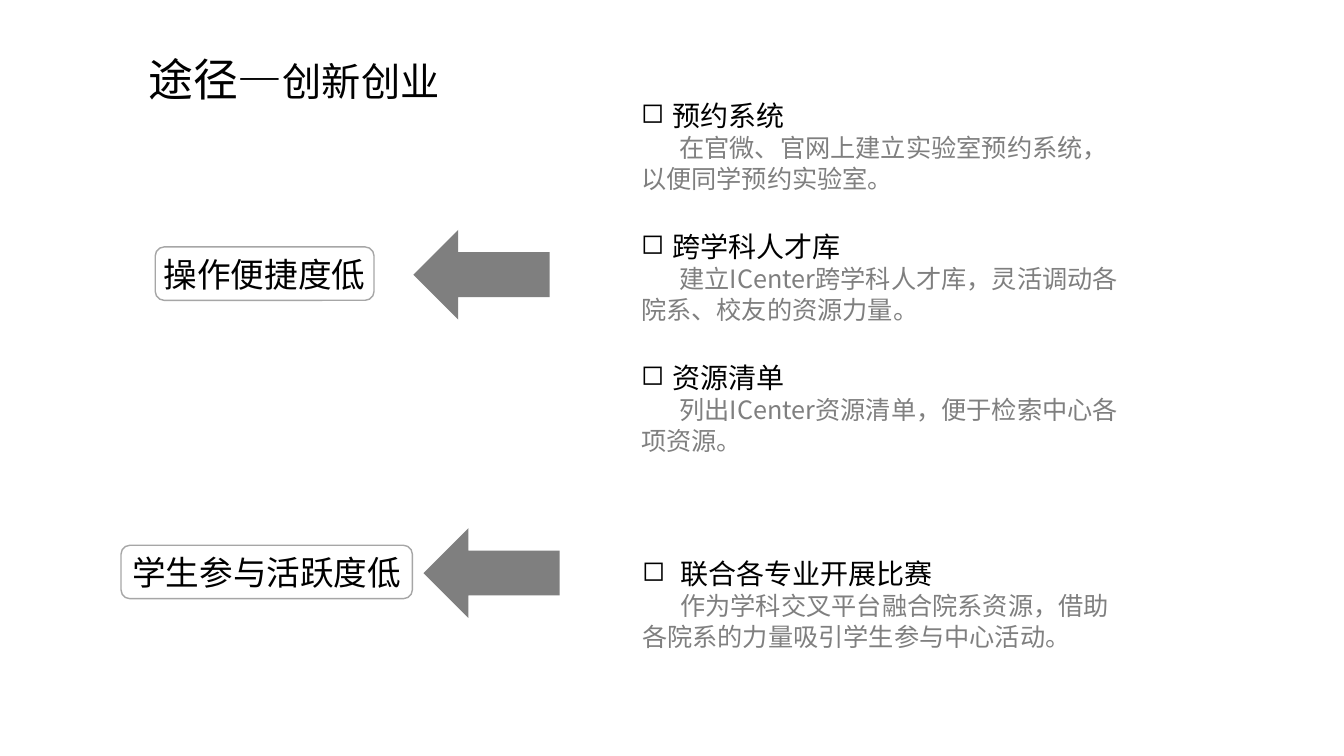
import pptx
import pptx.util
import pptx.dml.color
import pptx.enum.shapes
import pptx.enum.text
import pptx.oxml.ns
from lxml import etree

FONT = "Noto Sans CJK SC"
BLACK, GREY, EDGE = "000000", "7F7F7F", "A6A6A6"
SHAPE = pptx.enum.shapes.MSO_SHAPE
ALIGN = pptx.enum.text.PP_ALIGN
MIDDLE = pptx.enum.text.MSO_ANCHOR.MIDDLE
FIXED = pptx.enum.text.MSO_AUTO_SIZE.NONE

TOOLS = [
    ("预约系统", "在官微、官网上建立实验室预约系统，以便同学预约实验室。"),
    ("跨学科人才库", "建立ICenter跨学科人才库，灵活调动各院系、校友的资源力量。"),
    ("资源清单", "列出ICenter资源清单，便于检索中心各项资源。"),
]
EVENTS = [
    ("联合各专业开展比赛", "作为学科交叉平台融合院系资源，借助各院系的力量吸引学生参与中心活动。"),
]


def px(n):
    """Turn px, 100 to the inch, into EMU."""
    return pptx.util.Emu(n * 9144)


def color(code):
    return pptx.dml.color.RGBColor.from_string(code)


def style(run, size, code=BLACK):
    font = run.font
    font.size = pptx.util.Pt(size)
    font.name = FONT
    font.color.rgb = color(code)
    east = etree.SubElement(run._r.get_or_add_rPr(), pptx.oxml.ns.qn("a:ea"))
    east.set("typeface", FONT)


def indent(para, left, first, mark=None):
    """Set the left margin and first-line offset, with a bullet if given."""
    props = para._p.get_or_add_pPr()
    props.set("marL", str(px(left)))
    props.set("indent", str(px(first)))
    if mark:
        bullet = etree.SubElement(props, pptx.oxml.ns.qn("a:buChar"))
        bullet.set("char", mark)


def add_title(slide, box):
    title = slide.shapes.title
    title.left, title.top, title.width, title.height = map(px, box)
    frame = title.text_frame
    frame.auto_size = FIXED
    frame.vertical_anchor = MIDDLE
    para = frame.paragraphs[0]
    para.alignment = ALIGN.LEFT
    for text, size in [("途径—", 32), ("创新创业", 28)]:
        run = para.add_run()
        run.text = text
        style(run, size)


def add_list(slide, box, items, hang):
    """Place bulleted headings, each with a grey paragraph below."""
    frame = slide.shapes.add_textbox(*map(px, box)).text_frame
    frame.word_wrap = True
    for i, (head, body) in enumerate(items):
        top = frame.add_paragraph() if i else frame.paragraphs[0]
        top.text = head
        top.line_spacing = pptx.util.Pt(26)
        top.space_before = pptx.util.Pt(23.6 if i else 0)
        indent(top, hang, -hang, "◻")
        style(top.runs[0], 20)
        para = frame.add_paragraph()
        para.text = body
        para.line_spacing = pptx.util.Pt(22)
        indent(para, 0, 38)
        style(para.runs[0], 18, GREY)


def add_label(slide, box, text):
    label = slide.shapes.add_shape(SHAPE.ROUNDED_RECTANGLE, *map(px, box))
    label.shadow.inherit = False
    label.fill.background()
    label.line.color.rgb = color(EDGE)
    label.line.width = pptx.util.Pt(1)
    frame = label.text_frame
    frame.word_wrap = False
    frame.vertical_anchor = MIDDLE
    para = frame.paragraphs[0]
    para.text = text
    para.alignment = ALIGN.CENTER
    style(para.runs[0], 24)


def add_arrow(slide, left, top):
    arrow = slide.shapes.add_shape(
        SHAPE.LEFT_ARROW, px(left), px(top), px(135), px(89))
    arrow.shadow.inherit = False
    arrow.fill.solid()
    arrow.fill.fore_color.rgb = color(GREY)
    arrow.line.fill.background()


def main():
    deck = pptx.Presentation()
    deck.slide_width, deck.slide_height = px(1333), px(750)
    slide = deck.slides.add_slide(deck.slide_layouts[5])
    add_title(slide, (137, 46, 778, 64))
    add_list(slide, (626, 90, 504, 374), TOOLS, 31)
    add_list(slide, (627, 544, 504, 108), EVENTS, 38)
    add_label(slide, (154, 245, 217, 53), "操作便捷度低")
    add_label(slide, (120, 541, 289, 53), "学生参与活跃度低")
    add_arrow(slide, 410, 228)
    add_arrow(slide, 420, 524)
    deck.save("out.pptx")


if __name__ == "__main__":
    main()
